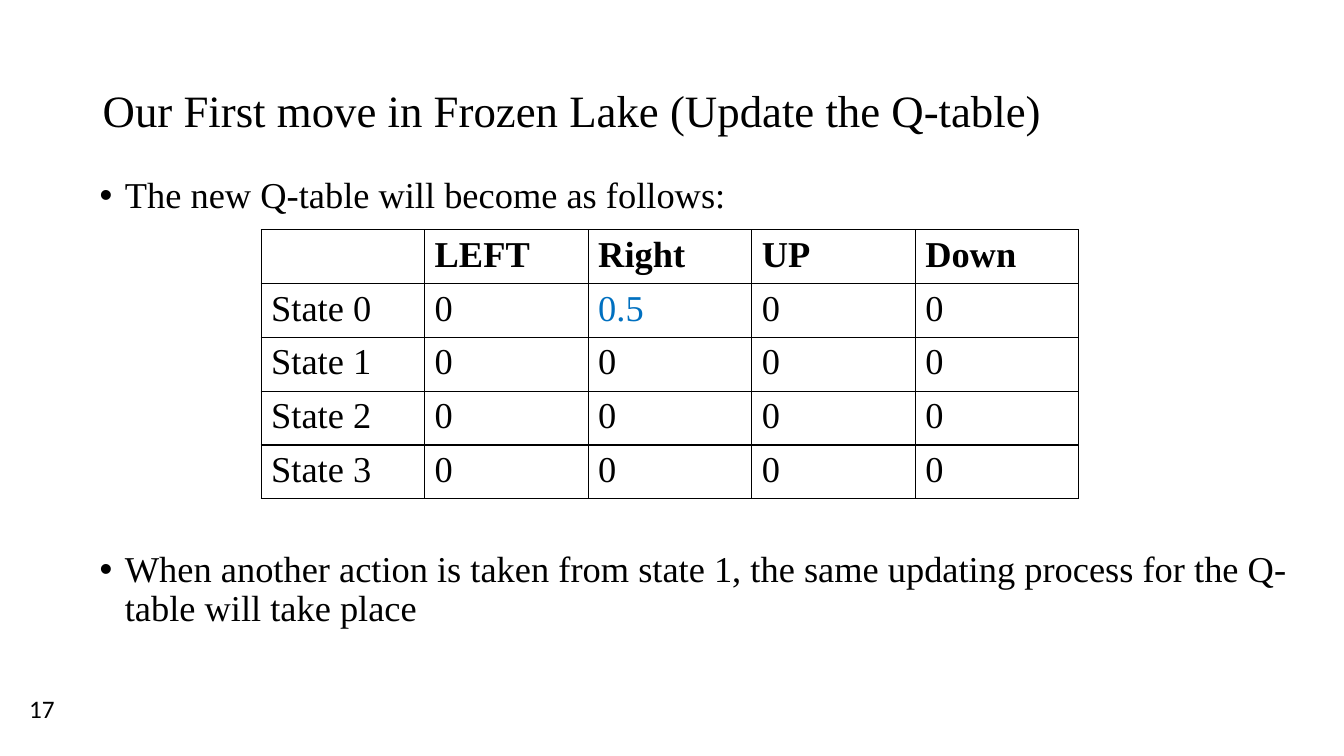
from dataclasses import dataclass

from lxml.etree import SubElement
from pptx import Presentation
from pptx.dml.color import RGBColor
from pptx.enum.text import MSO_ANCHOR as Anchor
from pptx.oxml.ns import qn
from pptx.util import Inches, Pt

WIDTH, HEIGHT = Inches(13.33), Inches(7.5)


@dataclass(frozen=True)
class Theme:
    black: str = "000000"
    blue: str = "0070C0"
    white: str = "FFFFFF"
    serif: str = "Times New Roman"
    sans: str = "Calibri"
    title: int = 32
    body: int = 26
    number: int = 18
    border: float = 0.96


THEME = Theme()
STATES = 4
ACTIONS = ["LEFT", "Right", "UP", "Down"]
UPDATED = (1, 2)
BULLETS = [
    ("The new Q-table will become as follows:", 0),
    ("When another action is taken from state 1, the same updating process "
     "for the Q-table will take place", 239),
]


def share(left, top, width, height):
    return [round(value * side / 100) for value, side in
            zip((left, top, width, height), (WIDTH, HEIGHT) * 2)]


def apply_format(target, values):
    for name, value in values.items():
        setattr(target, name, value)


def style_font(paragraph, size, name=THEME.serif, color=THEME.black, bold=False):
    apply_format(paragraph.font, {"size": Pt(size), "name": name, "bold": bold})
    paragraph.font.color.rgb = RGBColor.from_string(color)


def add_text_frame(slide, area, anchor=Anchor.TOP):
    frame = slide.shapes.add_textbox(*share(*area)).text_frame
    apply_format(frame, {"word_wrap": True, "vertical_anchor": anchor})
    return frame


def add_label(slide, area, text, size, name, anchor=Anchor.TOP, spacing=1.0):
    paragraph = add_text_frame(slide, area, anchor).paragraphs[0]
    apply_format(paragraph, {"text": text, "line_spacing": spacing})
    style_font(paragraph, size, name)


def add_bullets(slide, area, bullets):
    frame = add_text_frame(slide, area)
    for index, (text, space) in enumerate(bullets):
        paragraph = frame.add_paragraph() if index else frame.paragraphs[0]
        apply_format(paragraph, {"text": text, "line_spacing": 0.9})
        if space:
            paragraph.space_before = Pt(space)
        properties = paragraph._p.get_or_add_pPr()
        properties.set("marL", str(Inches(0.25)))
        properties.set("indent", str(-Inches(0.25)))
        SubElement(properties, qn("a:buFont"), typeface="Arial")
        SubElement(properties, qn("a:buChar"), char="•")
        style_font(paragraph, THEME.body)


def add_borders(cell):
    properties = cell._tc.get_or_add_tcPr()
    for index, side in enumerate(("lnL", "lnR", "lnT", "lnB")):
        line = SubElement(properties, qn(f"a:{side}"), w=str(Pt(THEME.border)))
        fill = SubElement(line, qn("a:solidFill"))
        SubElement(fill, qn("a:srgbClr"), val=THEME.black)
        properties.insert(index, line)


def add_q_table(slide, area, rows):
    left, top, width, height = share(*area)
    table = slide.shapes.add_table(
        len(rows), len(rows[0]), left, top, width, height).table
    apply_format(table, {"first_row": False, "horz_banding": False})
    for row_index, row in enumerate(rows):
        for column_index, text in enumerate(row):
            cell = table.cell(row_index, column_index)
            cell.text = text
            cell.fill.solid()
            cell.fill.fore_color.rgb = RGBColor.from_string(THEME.white)
            add_borders(cell)
            updated = (row_index, column_index) == UPDATED
            style_font(cell.text_frame.paragraphs[0], THEME.body,
                       color=THEME.blue if updated else THEME.black,
                       bold=row_index == 0)


def q_values():
    rows = [["", *ACTIONS]]
    rows += [[f"State {state}"] + ["0"] * len(ACTIONS) for state in range(STATES)]
    row, column = UPDATED
    rows[row][column] = "0.5"
    return rows


def main():
    presentation = Presentation()
    apply_format(presentation, {"slide_width": WIDTH, "slide_height": HEIGHT})
    slide = presentation.slides.add_slide(presentation.slide_layouts[6])
    add_label(slide, (6.9, 5.33, 86.25, 19.33),
              "Our First move in Frozen Lake (Update the Q-table)",
              THEME.title, THEME.serif, Anchor.MIDDLE, 0.9)
    add_bullets(slide, (6.68, 22.8, 93.1, 63.47), BULLETS)
    add_q_table(slide, (19.43, 30.4, 60.84, 33.4), q_values())
    add_label(slide, (1.43, 91.07, 5.4, 6), "17", THEME.number, THEME.sans)
    presentation.save("out.pptx")


if __name__ == "__main__":
    main()
